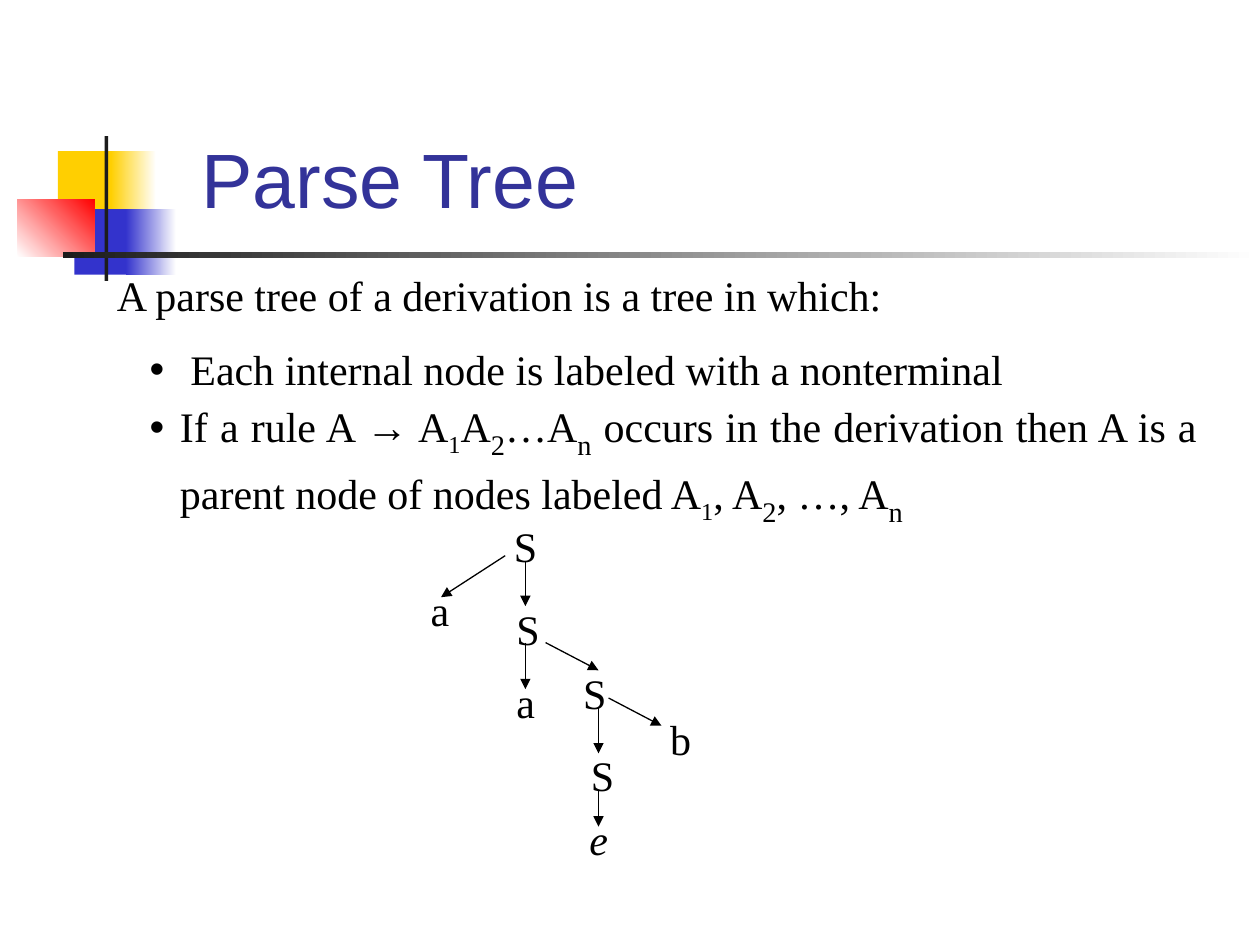
from lxml.etree import SubElement
from pptx import Presentation
from pptx.dml.color import RGBColor
from pptx.enum.shapes import MSO_CONNECTOR, MSO_SHAPE
from pptx.enum.text import MSO_ANCHOR, MSO_AUTO_SIZE, PP_ALIGN
from pptx.oxml.ns import qn
from pptx.util import Inches, Pt

# Content
TITLE = "Parse Tree"
SERIF = "Times New Roman"
BLACK = "000000"

# Decoration: left, top, width, height, colours, gradient angle
DECORATION = [
    (0.46, 1.2, 0.48, 0.52, ["FFCF01"], 0),
    (0.88, 1.2, 0.36, 0.52, ["FFCF01", "FFFFFF"], 0),
    (0.59, 1.66, 0.46, 0.52, ["3333CC"], 0),
    (1, 1.66, 0.4, 0.52, ["3333CC", "FFFFFF"], 0),
    (0.14, 1.58, 0.61, 0.46, ["FFFFFF", "FF0000"], 45),
    (0.83, 1.08, 0.03, 1.15, ["1C1C1C"], 0),
    (0.5, 2, 9.5, 0.05, ["1C1C1C", "FFFFFF"], 0),
]

# Paragraphs: bulleted, space before, spans
# A span is its text, or a (subscript, size) pair
ONE, TWO, LAST = ("1", 24), ("2", 28), ("n", 28)
PARAGRAPHS = [
    (False, 0, ["A parse tree of a derivation is a tree in which:"]),
    (True, 13.5, [" Each internal node is labeled with a nonterminal"]),
    (True, 0, [
        "If a rule A ", "→", " A", ONE, "A", TWO, "…A", LAST,
        " occurs in the derivation then A is a parent node of nodes labeled A",
        ONE, ", A", TWO, ", …, A", LAST]),
]

# Tree nodes: label, left, top, width
NODES = [
    ("S", 3.98, 4.08, 0.38),
    ("a", 3.32, 4.59, 0.35),
    ("S", 4, 4.74, 0.38),
    ("a", 4, 5.32, 0.35),
    ("S", 4.53, 5.25, 0.38),
    ("S", 4.59, 5.9, 0.38),
    ("e", 4.58, 6.41, 0.35),
    ("b", 5.22, 5.61, 0.36),
]
NODE_HEIGHT = 0.5

# Tree arrows: start x, start y, end x, end y
ARROWS = [
    (4.01, 4.41, 3.5, 4.74),
    (4.17, 4.45, 4.17, 4.81),
    (4.17, 5.1, 4.17, 5.47),
    (4.33, 5.1, 4.75, 5.32),
    (4.75, 5.61, 4.75, 5.98),
    (4.75, 6.27, 4.75, 6.56),
    (4.83, 5.54, 5.25, 5.76),
]


def color(value):
    return RGBColor.from_string(value)


def inches(*values):
    return [Inches(value) for value in values]


def style(font, size, name=SERIF, value=BLACK):
    font.size = Pt(size)
    font.name = name
    font.color.rgb = color(value)


def add_decoration(shapes, left, top, width, height, colors, angle):
    block = shapes.add_shape(MSO_SHAPE.RECTANGLE, *inches(left, top, width, height))
    block.shadow.inherit = False
    block.line.fill.background()
    if len(colors) == 1:
        block.fill.solid()
        block.fill.fore_color.rgb = color(colors[0])
    else:
        block.fill.gradient()
        block.fill.gradient_angle = angle
        for stop, value in zip(block.fill.gradient_stops, colors):
            stop.color.rgb = color(value)


def add_bullet(paragraph):
    properties = paragraph._p.get_or_add_pPr()
    properties.set("marL", str(Inches(0.5)))
    properties.set("indent", str(Inches(-0.24)))
    bullet_color = SubElement(properties, qn("a:buClr"))
    SubElement(bullet_color, qn("a:srgbClr")).set("val", BLACK)
    SubElement(properties, qn("a:buFont")).set("typeface", "Arial")
    SubElement(properties, qn("a:buChar")).set("char", "•")


def add_span(paragraph, content):
    subscript = isinstance(content, tuple)
    text, size = content if subscript else (content, 24)
    span = paragraph.add_run()
    span.text = text
    style(span.font, size, "Arial" if text == "→" else SERIF)
    if subscript:
        span.font._element.set("baseline", "-25000")


def add_node(shapes, label, left, top, width):
    box = shapes.add_textbox(*inches(left, top, width, NODE_HEIGHT))
    box.text_frame.word_wrap = False
    box.text_frame.text = label
    font = box.text_frame.paragraphs[0].runs[0].font
    style(font, 24)
    font.italic = label == "e"


def add_arrow(shapes, *ends):
    arrow = shapes.add_connector(MSO_CONNECTOR.STRAIGHT, *inches(*ends))
    arrow.line.color.rgb = color(BLACK)
    arrow.line.width = Pt(0.75)
    SubElement(arrow.line._get_or_add_ln(), qn("a:tailEnd")).set("type", "triangle")
    SubElement(arrow._element.spPr, qn("a:effectLst"))


def main():
    deck = Presentation()
    deck.slide_width, deck.slide_height = inches(10, 7.5)
    page = deck.slides.add_slide(deck.slide_layouts[5])

    # Corner blocks and rules
    for item in DECORATION:
        add_decoration(page.shapes, *item)

    # Title
    title = page.shapes.title
    title.left, title.top, title.width, title.height = inches(1.5, 0.58, 7.75, 1.25)
    title.text_frame.text = TITLE
    title.text_frame.vertical_anchor = MSO_ANCHOR.BOTTOM
    heading = title.text_frame.paragraphs[0]
    heading.alignment = PP_ALIGN.LEFT
    style(heading.runs[0].font, 44, "Arial", "333399")

    # Definition
    box = page.shapes.add_textbox(*inches(0.83, 2.09, 8.77, 2.16))
    frame = box.text_frame
    frame.word_wrap = True
    frame.auto_size = MSO_AUTO_SIZE.NONE
    for index, (bulleted, before, spans) in enumerate(PARAGRAPHS):
        paragraph = frame.add_paragraph() if index else frame.paragraphs[0]
        if bulleted:
            add_bullet(paragraph)
        paragraph.alignment = PP_ALIGN.JUSTIFY
        if before:
            paragraph.space_before = Pt(before)
        for content in spans:
            add_span(paragraph, content)

    # Tree
    tree = page.shapes.add_group_shape()
    for node in NODES:
        add_node(tree.shapes, *node)
    for ends in ARROWS:
        add_arrow(tree.shapes, *ends)

    deck.save("out.pptx")


if __name__ == "__main__":
    main()
